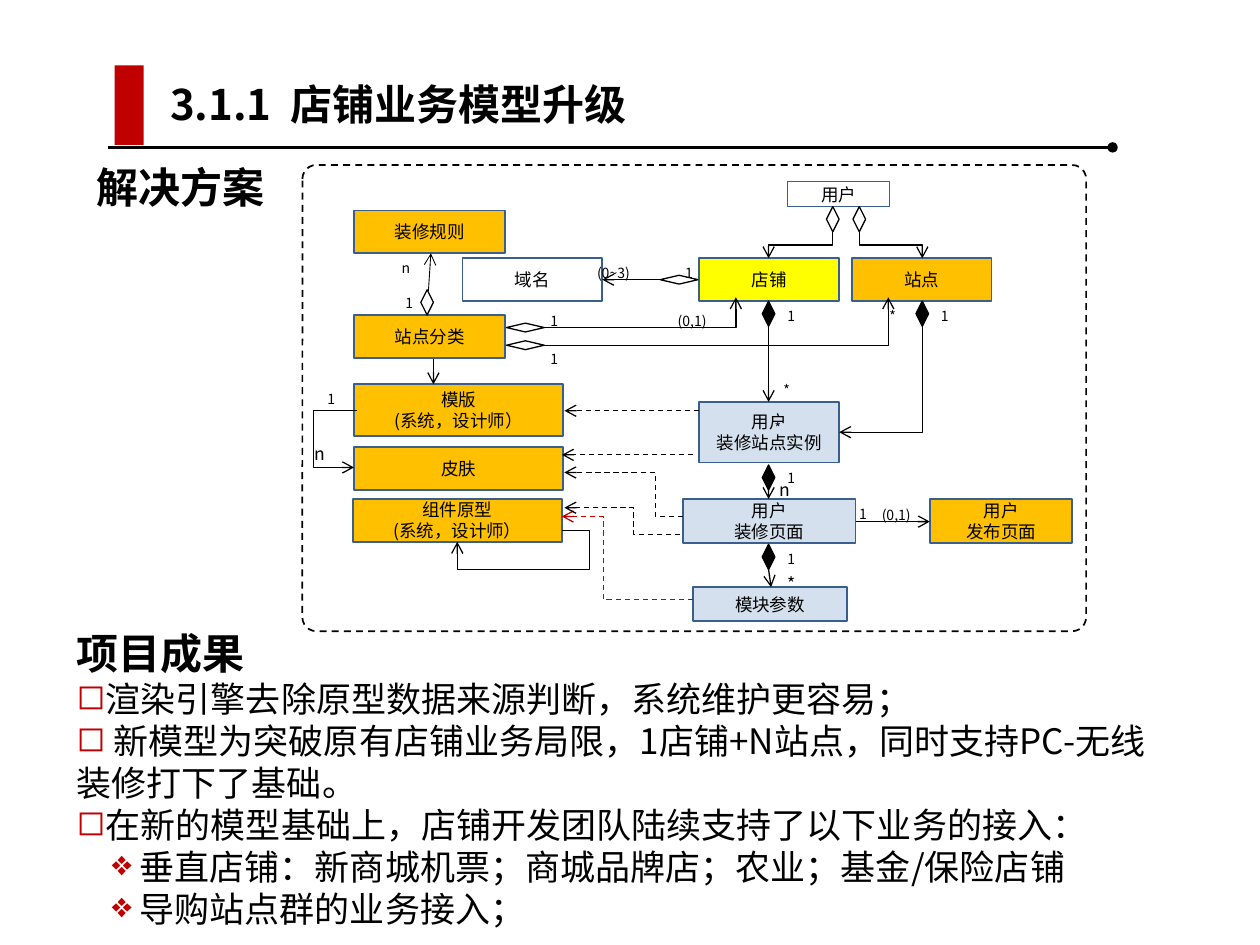
from dataclasses import dataclass

from lxml.etree import SubElement
from pptx import Presentation
from pptx.dml.color import RGBColor
from pptx.enum.dml import MSO_LINE
from pptx.enum.shapes import MSO_CONNECTOR, MSO_SHAPE
from pptx.enum.text import MSO_ANCHOR, PP_ALIGN
from pptx.oxml.ns import qn
from pptx.util import Inches, Pt


@dataclass(frozen=True)
class Theme:
    """Colours, font and type sizes of the slide."""
    font: str = "Noto Sans CJK SC"
    black: str = "000000"
    red: str = "C00000"
    outline: str = "3A5F8C"
    orange: str = "FFC000"
    yellow: str = "FFFF00"
    blue: str = "D4E0EE"
    white: str = "FFFFFF"
    heading: int = 24
    body: int = 20
    node: int = 10
    label: int = 8
    leading: float = 1.2


THEME = Theme()

TITLE = "3.1.1  店铺业务模型升级"
SOLUTION = "解决方案"
RESULTS = "项目成果"
# (level, text)
RESULT_POINTS = [
    (0, "渲染引擎去除原型数据来源判断，系统维护更容易；"),
    (0, " 新模型为突破原有店铺业务局限，1店铺+N站点，同时支持PC-无线装修打下了基础。"),
    (0, "在新的模型基础上，店铺开发团队陆续支持了以下业务的接入："),
    (1, "垂直店铺：新商城机票；商城品牌店；农业；基金/保险店铺"),
    (1, "导购站点群的业务接入；"),
]
BULLETS = ["◻", "❖"]

# (lines, left, top, width, height, fill)
NODES = [
    (["用户"], 6.25, 1.44, 0.81, 0.2, THEME.white),
    (["装修规则"], 2.81, 1.67, 1.2, 0.34, THEME.orange),
    (["域名"], 3.67, 2.05, 1.11, 0.34, THEME.white),
    (["店铺"], 5.55, 2.05, 1.11, 0.34, THEME.yellow),
    (["站点"], 6.76, 2.05, 1.11, 0.34, THEME.orange),
    (["站点分类"], 2.81, 2.5, 1.2, 0.34, THEME.orange),
    (["模版", "(系统，设计师）"], 2.81, 3.05, 1.66, 0.41, THEME.orange),
    (["皮肤"], 2.81, 3.55, 1.66, 0.34, THEME.orange),
    (["组件原型", "(系统，设计师）"], 2.8, 3.96, 1.66, 0.34, THEME.orange),
    (["用户", "装修站点实例"], 5.55, 3.19, 1.11, 0.48, THEME.blue),
    (["用户", "装修页面"], 5.42, 3.96, 1.37, 0.35, THEME.blue),
    (["用户", "发布页面"], 7.38, 3.96, 1.13, 0.35, THEME.orange),
    (["模块参数"], 5.5, 4.66, 1.22, 0.27, THEME.blue),
]

# (start, end, options)
DASHED = {"dash": True}
STRAIGHT_LINKS = [
    ((6.1, 2.59), (6.1, 3.19), {}),
    ((6.1, 3.89), (6.1, 3.96), {}),
    ((6.1, 4.52), (6.12, 4.66), {}),
    ((5.24, 2.22), (4.78, 2.22), {}),
    ((6.79, 4.14), (7.38, 4.14), {}),
    ((3.44, 2.85), (3.44, 3.05), {}),
    ((3.4, 2.31), (3.42, 2.01), {"weight": 0.5}),
    ((5.55, 3.26), (4.48, 3.26), DASHED),
    ((5.5, 3.61), (4.46, 3.61), DASHED),
]
# (start, end, x or (x, y) of the bends, options)
SIDE_LINKS = [
    ((2.83, 3.26), (2.81, 3.71), (2.49,), {}),
    ((5.5, 4.76), (4.46, 4.1), (4.79,), {"dash": True, "color": THEME.red}),
    ((5.42, 4.1), (4.48, 3.75), (5.2,), DASHED),
    ((5.4, 4.24), (4.48, 4.03), (5.03,), DASHED),
    ((4.46, 4.21), (3.63, 4.3), (4.68, 4.52), {}),
]
# (start, end, preset, options)
DOWN_LINKS = [
    ((6.61, 1.84), (6.1, 2.05), "bentConnector3", {}),
    ((6.82, 1.84), (7.32, 2.05), "bentConnector3", {}),
    ((7.32, 2.59), (6.66, 3.43), "bentConnector2", {}),
    ((5.84, 2.36), (4.32, 2.6), "bentConnector2", {"arrow": "headEnd"}),
    ((7.05, 2.36), (4.32, 2.74), "bentConnector2", {"arrow": "headEnd"}),
]

# (centre x, centre y)
COMPOSITIONS = [(6.1, 2.49), (7.32, 2.49), (6.1, 3.79), (6.1, 4.42)]
TALL_AGGREGATIONS = [(6.61, 1.74), (6.82, 1.74), (3.39, 2.4)]
WIDE_AGGREGATIONS = [(5.39, 2.22), (4.17, 2.6), (4.17, 2.74)]

# (left, top, text)
LABELS = [
    (2.5, 3.05, "1"), (6.15, 2.39, "1"), (6.05, 3.28, "*"), (6.15, 3.68, "1"),
    (6.15, 4.32, "1"), (5.34, 2.05, "1"), (4.64, 2.05, "(0~3)"),
    (6.72, 3.96, "1"), (6.9, 3.97, "(0,1)"), (6.96, 2.39, "*"),
    (4.27, 2.73, "1"), (4.27, 2.43, "1"), (7.37, 2.39, "1"), (6.12, 2.98, "*"),
    (3.12, 2.29, "1"), (3.09, 2.01, "n"), (5.28, 2.43, "(0,1)"),
]
LARGE_LABELS = [(2.4, 3.47, "n"), (6.09, 3.75, "n"), (6.15, 4.5, "*")]


def rgb(color):
    """Turn a hex string into a colour."""
    return RGBColor.from_string(color)


def write(paragraph, text, size, bold=False, align=PP_ALIGN.LEFT):
    """Add one formatted run to a paragraph."""
    paragraph.alignment = align
    paragraph.line_spacing = Pt(size * THEME.leading)
    paragraph.space_before = paragraph.space_after = Pt(0)
    run = paragraph.add_run()
    run.text = text
    font = run.font
    font.name, font.size, font.bold = THEME.font, Pt(size), bold
    font.color.rgb = rgb(THEME.black)
    SubElement(font._element, qn("a:ea"), typeface=THEME.font)


def add_text(left, top, width, height, text, size, bold=False):
    """Add a wrapping text box and return its frame."""
    frame = shapes.add_textbox(*map(Inches, (left, top, width, height))).text_frame
    frame.word_wrap = True
    write(frame.paragraphs[0], text, size, bold)
    return frame


def add_bullet(paragraph, level):
    """Give a paragraph the red bullet of its level."""
    paragraph.level = level
    props = paragraph._p.get_or_add_pPr()
    props.set("marL", str(Inches(0.5 * level)))
    props.set("indent", str(Inches(-0.22 * level)))
    color = SubElement(props, qn("a:buClr"))
    SubElement(color, qn("a:srgbClr"), val=THEME.red)
    SubElement(props, qn("a:buChar"), char=BULLETS[level])


def add_box(preset, left, top, width, height, fill=None, line=None, weight=1):
    """Add a preset shape without shadow."""
    box = shapes.add_shape(preset, *map(Inches, (left, top, width, height)))
    box.shadow.inherit = False
    if fill:
        box.fill.solid()
        box.fill.fore_color.rgb = rgb(fill)
    else:
        box.fill.background()
    if line:
        box.line.color.rgb = rgb(line)
        box.line.width = Pt(weight)
    else:
        box.line.fill.background()
    return box


def add_node(lines, left, top, width, height, fill):
    """Add a model entity with centred lines."""
    frame = add_box(MSO_SHAPE.RECTANGLE, left, top, width, height, fill, THEME.outline).text_frame
    frame.vertical_anchor = MSO_ANCHOR.MIDDLE
    for index, line in enumerate(lines):
        paragraph = frame.add_paragraph() if index else frame.paragraphs[0]
        write(paragraph, line, THEME.node, align=PP_ALIGN.CENTER)


def add_diamonds(centres, width, height, fill=None):
    """Add relation diamonds around their centres."""
    for x, y in centres:
        add_box(MSO_SHAPE.FLOWCHART_DECISION, x - width / 2, y - height / 2,
                width, height, fill, THEME.black, 0.75)


def add_link(start, end, preset="line", adjust=(), color=THEME.black, weight=0.75,
             dash=False, arrow="tailEnd", tip="arrow"):
    """Add a connector with its bends and line end."""
    kind = MSO_CONNECTOR.STRAIGHT if preset == "line" else MSO_CONNECTOR.ELBOW
    link = shapes.add_connector(kind, *map(Inches, start + end))
    link.line.color.rgb = rgb(color)
    link.line.width = Pt(weight)
    if dash:
        link.line.dash_style = MSO_LINE.DASH
    props = link._element.spPr
    SubElement(props.find(qn("a:ln")), qn("a:" + arrow), type=tip)
    SubElement(props, qn("a:effectLst"))
    geometry = props.find(qn("a:prstGeom"))
    geometry.set("prst", preset)
    for index, ratio in enumerate(adjust, 1):
        SubElement(geometry.find(qn("a:avLst")), qn("a:gd"), name=f"adj{index}",
                   fmla=f"val {round(ratio * 100000)}")
    return link


def add_side_link(start, end, bends, options):
    """Add an elbow that leaves sideways and turns at the bends."""
    ratios = [(bend - a) / (b - a) for bend, a, b in zip(bends, start, end)]
    add_link(start, end, f"bentConnector{len(bends) + 2}", ratios, **options)


def add_down_link(start, end, preset, options):
    """Add an elbow that leaves downwards, as a quarter-turned connector."""
    (x0, y0), (x1, y1) = start, end
    mid_x, mid_y = (x0 + x1) / 2, (y0 + y1) / 2
    half_w, half_h = (y1 - y0) / 2, abs(x1 - x0) / 2
    rise = half_h if x1 < x0 else -half_h
    link = add_link((mid_x - half_w, mid_y - rise), (mid_x + half_w, mid_y + rise),
                    preset, **options)
    link._element.spPr.find(qn("a:xfrm")).set("rot", str(90 * 60000))


deck = Presentation()
deck.slide_width, deck.slide_height = Inches(10), Inches(7.5)
slide = deck.slides.add_slide(deck.slide_layouts[5])
shapes = slide.shapes

title = shapes.title
title.left, title.top, title.width, title.height = map(Inches, (1.25, 0.57, 7.37, 0.5))
title.text_frame.vertical_anchor = MSO_ANCHOR.MIDDLE
write(title.text_frame.paragraphs[0], TITLE, THEME.heading, True)
add_link((0.86, 1.17), (8.83, 1.17), weight=1.75, tip="oval")
add_box(MSO_SHAPE.RECTANGLE, 0.91, 0.52, 0.23, 0.63, THEME.red)

results = add_text(0.51, 4.93, 8.82, 2.52, RESULTS, THEME.heading, True)
for level, point in RESULT_POINTS:
    paragraph = results.add_paragraph()
    write(paragraph, point, THEME.body)
    add_bullet(paragraph, level)

panel = add_box(MSO_SHAPE.ROUNDED_RECTANGLE, 2.4, 1.31, 6.22, 3.7, line=THEME.black)
panel.adjustments[0] = 0.03
panel.line.dash_style = MSO_LINE.DASH

for node in NODES:
    add_node(*node)
for start, end, options in STRAIGHT_LINKS:
    add_link(start, end, **options)
for side_link in SIDE_LINKS:
    add_side_link(*side_link)
for down_link in DOWN_LINKS:
    add_down_link(*down_link)
add_diamonds(COMPOSITIONS, 0.1, 0.2, THEME.black)
add_diamonds(TALL_AGGREGATIONS, 0.1, 0.2)
add_diamonds(WIDE_AGGREGATIONS, 0.3, 0.07)
for labels, size in ((LABELS, THEME.label), (LARGE_LABELS, THEME.node)):
    for left, top, text in labels:
        add_text(left, top, 0.3 if len(text) == 1 else 0.76, 0.21, text, size)
add_text(0.67, 1.23, 1.57, 0.5, SOLUTION, THEME.heading, True)

deck.save("out.pptx")
